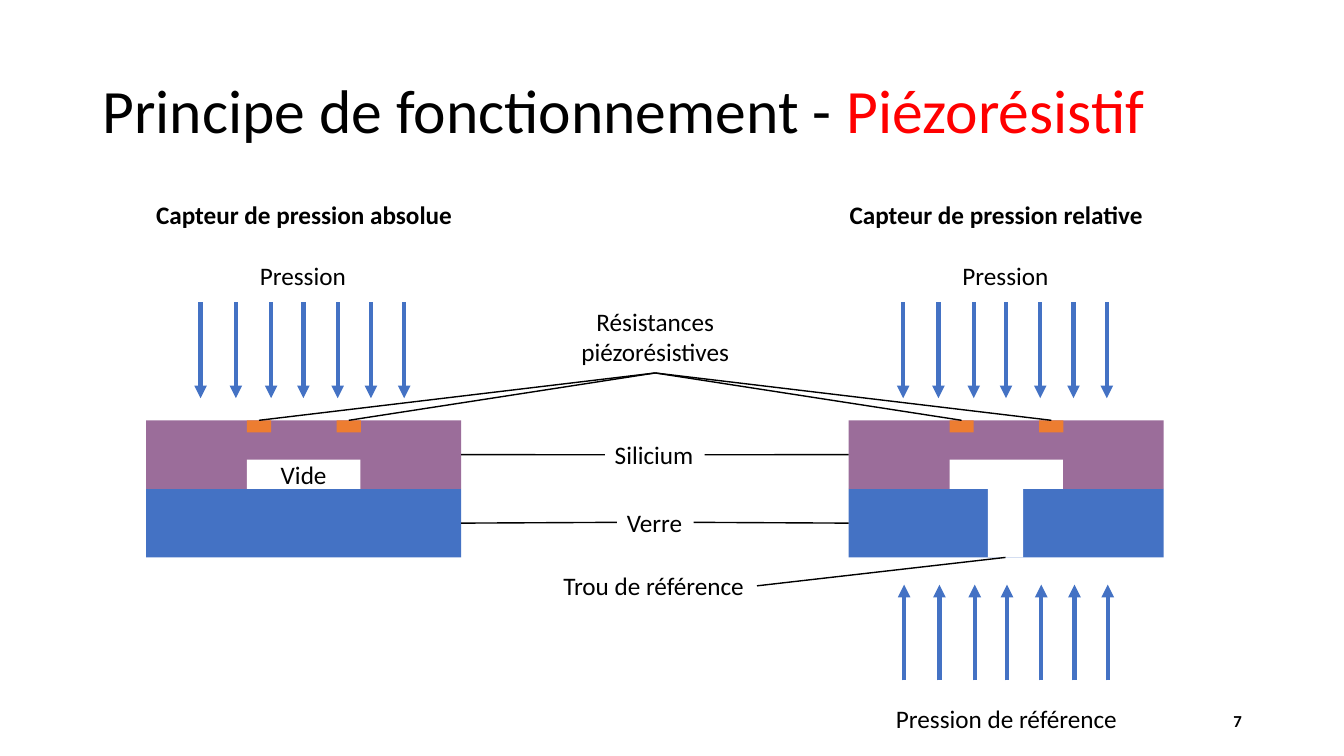
from pptx import Presentation
from pptx.dml.color import RGBColor
from pptx.enum.shapes import MSO_CONNECTOR, MSO_SHAPE
from pptx.enum.text import MSO_ANCHOR as ANCHOR, MSO_AUTO_SIZE as AUTO_SIZE, PP_ALIGN as ALIGN
from pptx.oxml.ns import qn
from pptx.util import Inches, Pt
from lxml.etree import SubElement

COLORS = {
    "text": "000000",
    "accent": "FF0000",
    "glass": "4472C4",
    "silicon": "9B6D9A",
    "resistor": "ED7D31",
    "empty": "FFFFFF",
    "arrow": "4472C4",
}
FONT = "Calibri"
COLUMNS, ROWS = 133.33, 75  # square cells of a tenth of an inch
TOP, LEFT, BOTTOM, RIGHT = range(4)

ABSOLUTE_LEFT, RELATIVE_LEFT = 14.5, 84.2
SENSOR_WIDTH, LAYER_HEIGHT = 31.25, 6.8
SILICON_TOP = 41.7
GLASS_TOP = SILICON_TOP + LAYER_HEIGHT
ARROW_OFFSETS = (5.4, 8.9, 12.4, 15.6, 19, 22.3, 25.6)


def cells(count):
    return Inches(count / 10)


def rgb(color):
    return RGBColor.from_string(COLORS[color])


def write(shape, text, size=18, bold=False, align=ALIGN.LEFT, anchor=ANCHOR.TOP,
          spacing=None, accent=""):
    """Fill a shape with one paragraph per line; accent ends the last one in red."""
    frame = shape.text_frame
    frame.vertical_anchor = anchor
    lines = text.split("\n")
    for index, line in enumerate(lines):
        paragraph = frame.paragraphs[0] if index == 0 else frame.add_paragraph()
        paragraph.alignment = align
        paragraph.line_spacing = spacing
        parts = [(line, "text")]
        if accent and index == len(lines) - 1:
            parts.append((accent, "accent"))
        for words, color in parts:
            run = paragraph.add_run()
            run.text = words
            run.font.name = FONT
            run.font.size = Pt(size)
            run.font.bold = bold
            run.font.color.rgb = rgb(color)


def add_label(slide, text, left, top, width, height=4.04, wrap=False, **text_format):
    label = slide.shapes.add_textbox(*map(cells, (left, top, width, height)))
    label.text_frame.word_wrap = wrap
    label.text_frame.auto_size = AUTO_SIZE.NONE if wrap else AUTO_SIZE.SHAPE_TO_FIT_TEXT
    write(label, text, **text_format)
    return label


def add_block(slide, color, left, top, width, height):
    block = slide.shapes.add_shape(
        MSO_SHAPE.RECTANGLE, *map(cells, (left, top, width, height)))
    block.shadow.inherit = False
    block.fill.solid()
    block.fill.fore_color.rgb = rgb(color)
    block.line.fill.background()
    return block


def add_line(slide, color, width, start=(0, 0), end=(0, 0)):
    line = slide.shapes.add_connector(
        MSO_CONNECTOR.STRAIGHT, *map(cells, (*start, *end)))
    line.line.color.rgb = rgb(color)
    line.line.width = Pt(width)
    SubElement(line._element.spPr, qn("a:effectLst"))
    return line


def add_leader(slide, label, label_side, part, part_side):
    leader = add_line(slide, "text", 1)
    leader.begin_connect(label, label_side)
    leader.end_connect(part, part_side)


def add_pressure(slide, left, start_row, end_row):
    """Draw a row of pressure arrows over a sensor's width."""
    for offset in ARROW_OFFSETS:
        column = left + offset
        arrow = add_line(slide, "arrow", 3, (column, start_row), (column, end_row))
        SubElement(arrow.line._get_or_add_ln(), qn("a:tailEnd"), type="triangle")


def add_sensor(slide, left):
    """Draw a sensor under pressure and return the parts that get labels."""
    glass = add_block(slide, "glass", left, GLASS_TOP, SENSOR_WIDTH, LAYER_HEIGHT)
    silicon = add_block(slide, "silicon", left, SILICON_TOP, SENSOR_WIDTH, LAYER_HEIGHT)
    cavity = add_block(slide, "empty", left + 10, GLASS_TOP - 2.9, 11.25, 2.9)
    resistors = [add_block(slide, "resistor", left + offset, SILICON_TOP, 2.4, 1.2)
                 for offset in (10, 18.9)]
    add_pressure(slide, left, 30, 39.5)
    add_label(slide, "Pression", left + 10.3, 25.3, 10.6)
    return glass, silicon, cavity, resistors


def main():
    deck = Presentation()
    deck.slide_width, deck.slide_height = cells(COLUMNS), cells(ROWS)
    slide = deck.slides.add_slide(deck.slide_layouts[6])

    add_label(slide, "Principe de fonctionnement - ", 9.2, 4, 115, 14.5, wrap=True,
              size=44, anchor=ANCHOR.MIDDLE, spacing=0.9, accent="Piézorésistif")

    glass_abs, silicon_abs, cavity, resistors_abs = add_sensor(slide, ABSOLUTE_LEFT)
    write(cavity, "Vide", align=ALIGN.CENTER, anchor=ANCHOR.MIDDLE)

    glass_rel, silicon_rel, _, resistors_rel = add_sensor(slide, RELATIVE_LEFT)
    add_pressure(slide, RELATIVE_LEFT + 0.1, 67.5, 58)
    add_label(slide, "Pression de référence", 87.9, 69.3, 24.2)
    hole = add_block(slide, "empty", 98, GLASS_TOP, 3.5, LAYER_HEIGHT)

    add_label(slide, "Capteur de pression absolue", 14.5, 19.3, 31.6, bold=True)
    add_label(slide, "Capteur de pression relative", 83.3, 19.3, 31.3, bold=True)

    silicon_label = add_label(slide, "Silicium", 60, 43.1, 9.9)
    glass_label = add_label(slide, "Verre", 61.2, 49.8, 7.6)
    resistor_label = add_label(slide, "Résistances\npiézorésistives", 56.6, 29.9, 16.8,
                               7.1, align=ALIGN.CENTER)
    hole_label = add_label(slide, "Trou de référence", 54.9, 56.1, 20.2)

    for resistor in resistors_rel + resistors_abs:
        add_leader(slide, resistor_label, BOTTOM, resistor, TOP)
    for label, part_abs, part_rel in (
            (silicon_label, silicon_abs, silicon_rel),
            (glass_label, glass_abs, glass_rel)):
        add_leader(slide, label, RIGHT, part_rel, LEFT)
        add_leader(slide, label, LEFT, part_abs, RIGHT)
    add_leader(slide, hole_label, RIGHT, hole, BOTTOM)

    add_label(slide, "7", 94.2, 69.5, 30, 4, wrap=True, size=12, bold=True,
              align=ALIGN.RIGHT, anchor=ANCHOR.MIDDLE)
    deck.save("out.pptx")


if __name__ == "__main__":
    main()
